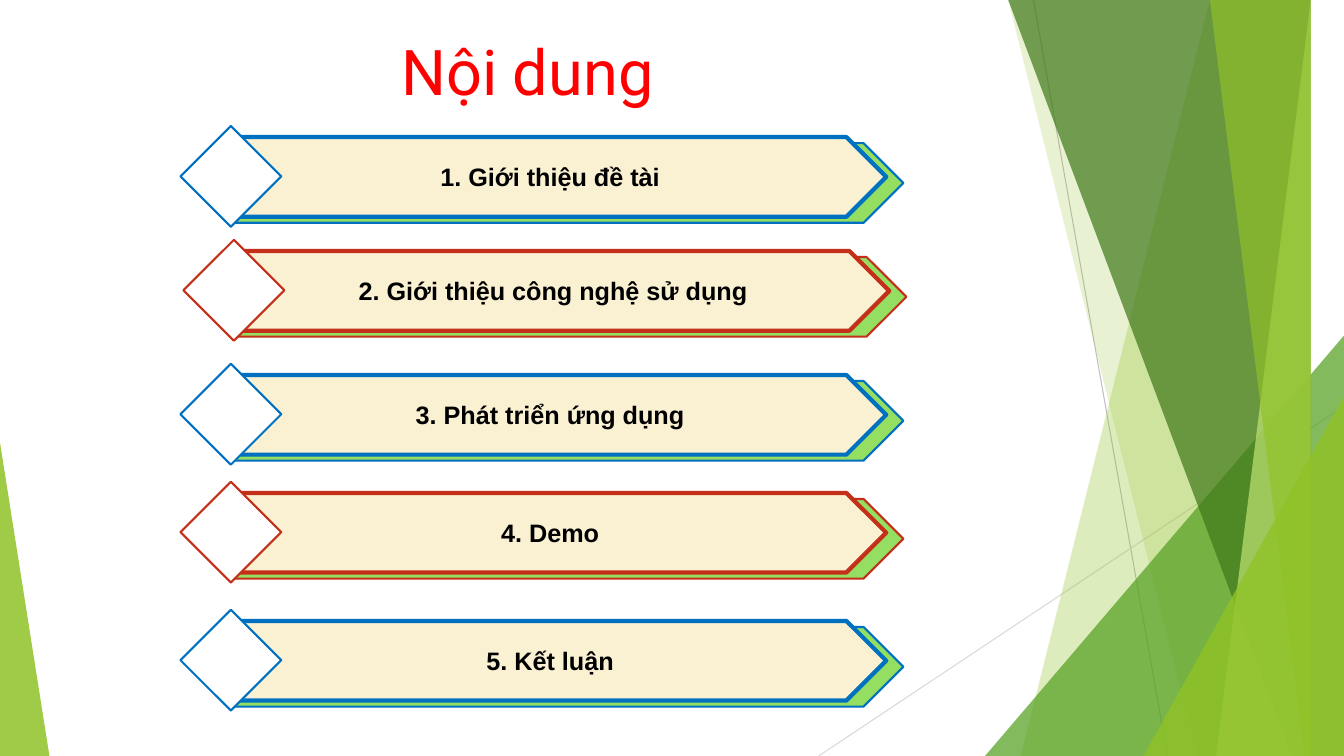
from lxml import etree
from pptx import Presentation
from pptx import util as u
from pptx.dml.color import RGBColor
from pptx.enum import shapes, text
from pptx.oxml.ns import qn

BLUE, RED = "0070C0", "C42F1A"
GREEN = "90C226"
WIDTH, HEIGHT = 13.33, 7.5

RAYS = [("BFBFBF", (10.25, 0), (11.58, HEIGHT)),
        ("D9D9D9", (WIDTH, 4.03), (8.12, HEIGHT))]
BACK_BANDS = [(12.28, 10.04, GREEN, 30), (10.5, 11.83, GREEN, 20)]
FRONT_BANDS = [(10.21, 12.91, "3F7819", 70), (13.03, 11.92, "C0E474", 70),
               (11.96, 13.18, GREEN, 65)]
AGENDA = [("1. Giới thiệu đề tài", 1.79, 1.25, BLUE),
          ("2. Giới thiệu công nghệ sử dụng", 1.82, 2.38, RED),
          ("3. Phát triển ứng dụng", 1.79, 3.61, BLUE),
          ("4. Demo", 1.79, 4.78, RED),
          ("5. Kết luận", 1.79, 6.05, BLUE)]


def rgb(color):
    return RGBColor.from_string(color)


def paint(shape, fill, line=None, line_width=1.5, opacity=100):
    shape.shadow.inherit = False
    shape.fill.solid()
    shape.fill.fore_color.rgb = rgb(fill)
    if opacity < 100:
        color = shape.fill._xPr.find(qn("a:solidFill"))[0]
        etree.SubElement(color, qn("a:alpha"), val=str(opacity * 1000))
    if line:
        shape.line.color.rgb = rgb(line)
        shape.line.width = u.Pt(line_width)
    else:
        shape.line.fill.background()


def write(shape, words, font_name, size, color, bold=False):
    frame = shape.text_frame
    frame.text = words
    frame.word_wrap = True
    frame.vertical_anchor = text.MSO_ANCHOR.MIDDLE
    paragraph = frame.paragraphs[0]
    paragraph.alignment = text.PP_ALIGN.CENTER
    font = paragraph.runs[0].font
    font.name, font.size, font.bold = font_name, u.Pt(size), bold
    font.color.rgb = rgb(color)


def add_preset(slide, kind, left, top, width, height):
    return slide.shapes.add_shape(kind, u.Inches(left), u.Inches(top),
                                  u.Inches(width), u.Inches(height))


def add_ray(slide, color, start, end):
    ray = slide.shapes.add_connector(
        shapes.MSO_CONNECTOR.STRAIGHT, *(u.Inches(value) for value in start + end))
    ray.line.color.rgb = rgb(color)
    ray.line.width = u.Pt(0.75)
    etree.SubElement(ray._element.spPr, qn("a:effectLst"))


def add_band(slide, top_x, bottom_x, color, opacity):
    builder = slide.shapes.build_freeform(top_x, 0, scale=u.Inches(1))
    builder.add_line_segments([(WIDTH, 0), (WIDTH, HEIGHT), (bottom_x, HEIGHT)])
    paint(builder.convert_to_shape(), color, opacity=opacity)


def add_corner(slide, left, top, width, apex, color, opacity):
    corner = add_preset(slide, shapes.MSO_SHAPE.ISOSCELES_TRIANGLE,
                        left, top, width, HEIGHT - top)
    corner.adjustments[0] = apex
    paint(corner, color, opacity=opacity)


def add_backdrop(slide):
    for ray in RAYS:
        add_ray(slide, *ray)
    for band in BACK_BANDS:
        add_band(slide, *band)
    add_corner(slide, 9.77, 3.33, 3.56, 1, "54A021", 72)
    for band in FRONT_BANDS:
        add_band(slide, *band)
    add_corner(slide, 11.34, 3.93, 1.99, 1, GREEN, 80)
    add_corner(slide, 0, 4.39, 0.49, 0, GREEN, 85)


def add_title(slide, words):
    title = slide.shapes.title
    title.left, title.top = u.Inches(2.66), u.Inches(0.24)
    title.width, title.height = u.Inches(5.14), u.Inches(0.91)
    title.fill.solid()
    title.fill.fore_color.rgb = rgb("FFFFFF")
    write(title, words, "Roboto", 45, "FF0000")


def add_agenda_item(slide, words, left, top, color):
    arrow = shapes.MSO_SHAPE.PENTAGON
    backing = add_preset(slide, arrow, left + 0.53, top + 0.17, 6.64, 0.79)
    paint(backing, "94DE61", color)
    banner = add_preset(slide, arrow, left + 0.53, top + 0.11, 6.47, 0.79)
    paint(banner, "FAF1D2", color, 3)
    write(banner, words, "Arial", 18, "000000", True)
    diamond = add_preset(slide, shapes.MSO_SHAPE.DIAMOND, left, top, 1, 1)
    paint(diamond, "FFFFFF", color)


def main():
    presentation = Presentation()
    presentation.slide_width = u.Inches(WIDTH)
    presentation.slide_height = u.Inches(HEIGHT)
    slide = presentation.slides.add_slide(presentation.slide_layouts[5])
    add_backdrop(slide)
    add_title(slide, "Nội dung")
    for item in AGENDA:
        add_agenda_item(slide, *item)
    presentation.save("out.pptx")


if __name__ == "__main__":
    main()
